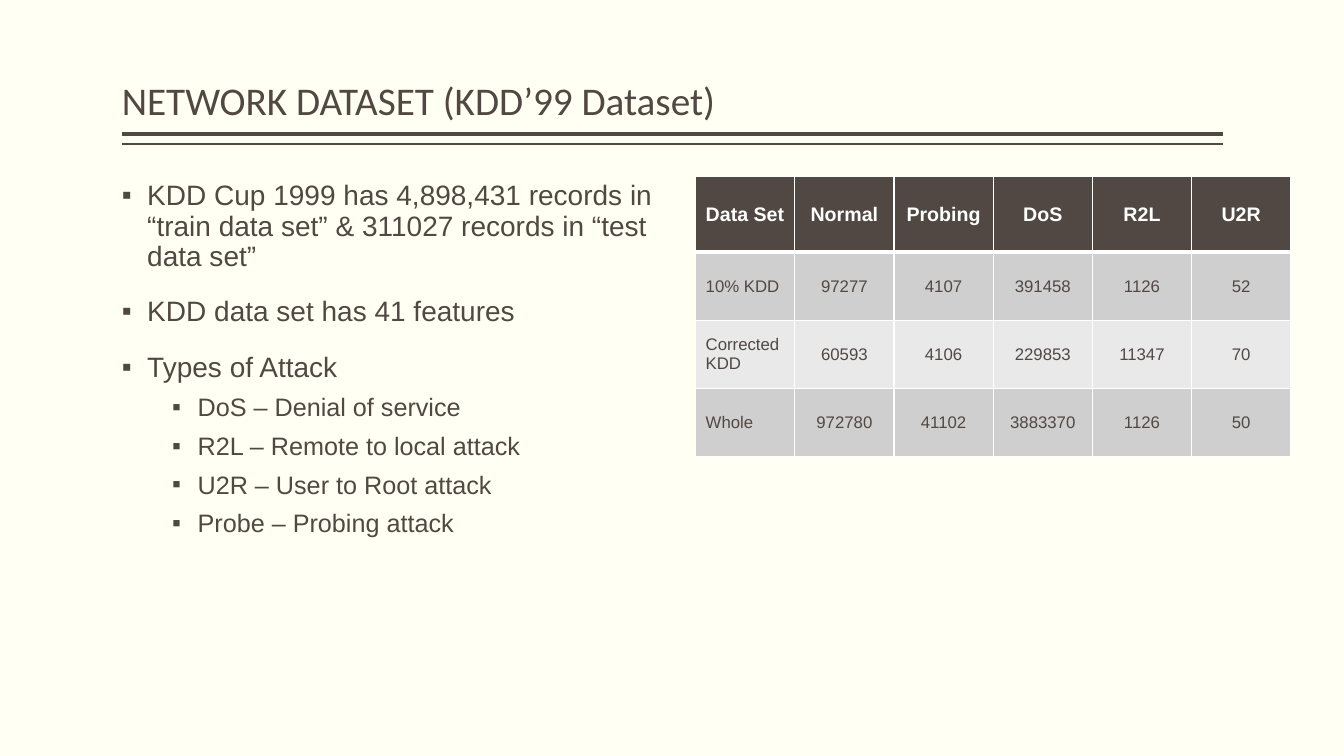
from dataclasses import dataclass

import lxml.etree
import pptx
import pptx.dml.color
import pptx.enum.text
import pptx.oxml.ns
import pptx.util

Cm, Pt = pptx.util.Cm, pptx.util.Pt
RGB = pptx.dml.color.RGBColor
Anchor = pptx.enum.text.MSO_ANCHOR
Align = pptx.enum.text.PP_ALIGN
qn = pptx.oxml.ns.qn


@dataclass(frozen=True)
class Theme:
    back: str = "FFFFF3"
    dark: str = "514843"
    white: str = "FFFFFF"
    bands: tuple[str, str] = ("D0CFCF", "E9E9E9")
    head: str = "Calibri"
    body: str = "Arial"
    title: int = 28
    cell: int = 12
    top: int = 14


@dataclass(frozen=True)
class Level:
    size: int
    left: float
    before: int
    lines: float


@dataclass(frozen=True)
class Point:
    text: str
    depth: int = 0


@dataclass(frozen=True)
class Rule:
    y: float
    width: int


THEME = Theme()
LEFT, WIDE, TOP = 3.07, 27.74, 4.45
HANG = 0.64
LEVELS = (Level(20, 0.64, 18, 0.9), Level(18, 1.91, 6, 1.0))
RULES = (Rule(3.38, 3), Rule(3.63, 1))
POINTS = (
    Point("KDD Cup 1999 has 4,898,431 records in “train data set” "
          "& 311027 records in “test data set”"),
    Point("KDD data set has 41 features"),
    Point("Types of Attack"),
    Point("DoS – Denial of service", 1),
    Point("R2L – Remote to local attack", 1),
    Point("U2R – User to Root attack", 1),
    Point("Probe – Probing attack", 1),
)
ROWS = (
    ("Data Set", "Normal", "Probing", "DoS", "R2L", "U2R"),
    ("10% KDD", "97277", "4107", "391458", "1126", "52"),
    ("Corrected KDD", "60593", "4106", "229853", "11347", "70"),
    ("Whole", "972780", "41102", "3883370", "1126", "50"),
)


def style(para, name: str, size: int, color: str, bold: bool = False) -> None:
    font = para.font
    font.name, font.size, font.bold = name, Pt(size), bold
    font.color.rgb = RGB.from_string(color)


def place(shape, x: float, y: float, width: float, height: float) -> None:
    shape.left, shape.top = Cm(x), Cm(y)
    shape.width, shape.height = Cm(width), Cm(height)


def fit(frame, anchor) -> None:
    frame.margin_left = frame.margin_right = 0
    frame.word_wrap = True
    frame.auto_size = pptx.enum.text.MSO_AUTO_SIZE.NONE
    frame.vertical_anchor = anchor


def draw_rule(slide, rule: Rule) -> None:
    line = slide.shapes.add_connector(
        pptx.enum.shapes.MSO_CONNECTOR.STRAIGHT,
        Cm(LEFT), Cm(rule.y), Cm(LEFT + WIDE), Cm(rule.y))
    line.line.width = Pt(rule.width)
    line.line.color.rgb = RGB.from_string(THEME.dark)
    lxml.etree.SubElement(line._element.spPr, qn("a:effectLst"))


def draw_title(slide, text: str) -> None:
    title = slide.shapes.title
    place(title, LEFT, 0.2, WIDE, 3.05)
    fit(title.text_frame, Anchor.BOTTOM)
    title.text_frame.text = text
    para = title.text_frame.paragraphs[0]
    para.alignment, para.line_spacing = Align.LEFT, 0.9
    style(para, THEME.head, THEME.title, THEME.dark)


def draw_point(para, point: Point) -> None:
    level = LEVELS[point.depth]
    para.text, para.level = point.text, point.depth
    para.line_spacing, para.space_before = level.lines, Pt(level.before)
    props = para._p.get_or_add_pPr()
    props.set("marL", str(Cm(level.left)))
    props.set("indent", str(-Cm(HANG)))
    lxml.etree.SubElement(props, qn("a:buFont"), typeface=THEME.body)
    lxml.etree.SubElement(props, qn("a:buChar"), char="▪")
    style(para, THEME.body, level.size, THEME.dark)


def draw_list(slide, points: tuple[Point, ...]) -> None:
    body = slide.placeholders[1]
    place(body, LEFT, TOP, 13.67, 12.7)
    frame = body.text_frame
    fit(frame, Anchor.TOP)
    for i, point in enumerate(points):
        draw_point(frame.add_paragraph() if i else frame.paragraphs[0], point)


def edge(cell, side: str, width: int) -> None:
    line = lxml.etree.SubElement(
        cell._tc.get_or_add_tcPr(), qn(f"a:{side}"), w=str(Pt(width)))
    fill = lxml.etree.SubElement(line, qn("a:solidFill"))
    lxml.etree.SubElement(fill, qn("a:srgbClr"), val=THEME.white)


def draw_cell(cell, text: str, row: int, col: int) -> None:
    head = row == 0
    # Borders come before the fill in the cell's XML
    for side in ("lnL", "lnR", "lnT", "lnB"):
        thick = (row, side) in ((0, "lnB"), (1, "lnT"))
        edge(cell, side, 3 if thick else 1)
    cell.fill.solid()
    shade = THEME.dark if head else THEME.bands[(row - 1) % 2]
    cell.fill.fore_color.rgb = RGB.from_string(shade)
    cell.vertical_anchor = Anchor.MIDDLE
    cell.text = text
    para = cell.text_frame.paragraphs[0]
    para.alignment = Align.CENTER if col else Align.LEFT
    style(para, THEME.body, THEME.top if head else THEME.cell,
          THEME.white if head else THEME.dark, head)


def draw_table(slide, rows: tuple[tuple[str, ...], ...]) -> None:
    table = slide.shapes.add_table(
        len(rows), len(rows[0]), Cm(17.53), Cm(TOP), Cm(15), Cm(7.06)).table
    for col in table.columns:
        col.width = Cm(2.5)
    for r, texts in enumerate(rows):
        table.rows[r].height = Cm(1.72 if r else 1.9)
        for c, text in enumerate(texts):
            draw_cell(table.cell(r, c), text, r, c)


def main() -> None:
    deck = pptx.Presentation()
    deck.slide_width, deck.slide_height = Cm(33.87), Cm(19.05)
    slide = deck.slides.add_slide(deck.slide_layouts[1])
    slide.background.fill.solid()
    slide.background.fill.fore_color.rgb = RGB.from_string(THEME.back)

    # Heading with its double rule
    for rule in RULES:
        draw_rule(slide, rule)
    draw_title(slide, "NETWORK DATASET (KDD’99 Dataset)")

    # Facts on the left, record counts on the right
    draw_list(slide, POINTS)
    draw_table(slide, ROWS)
    deck.save("out.pptx")


if __name__ == "__main__":
    main()
